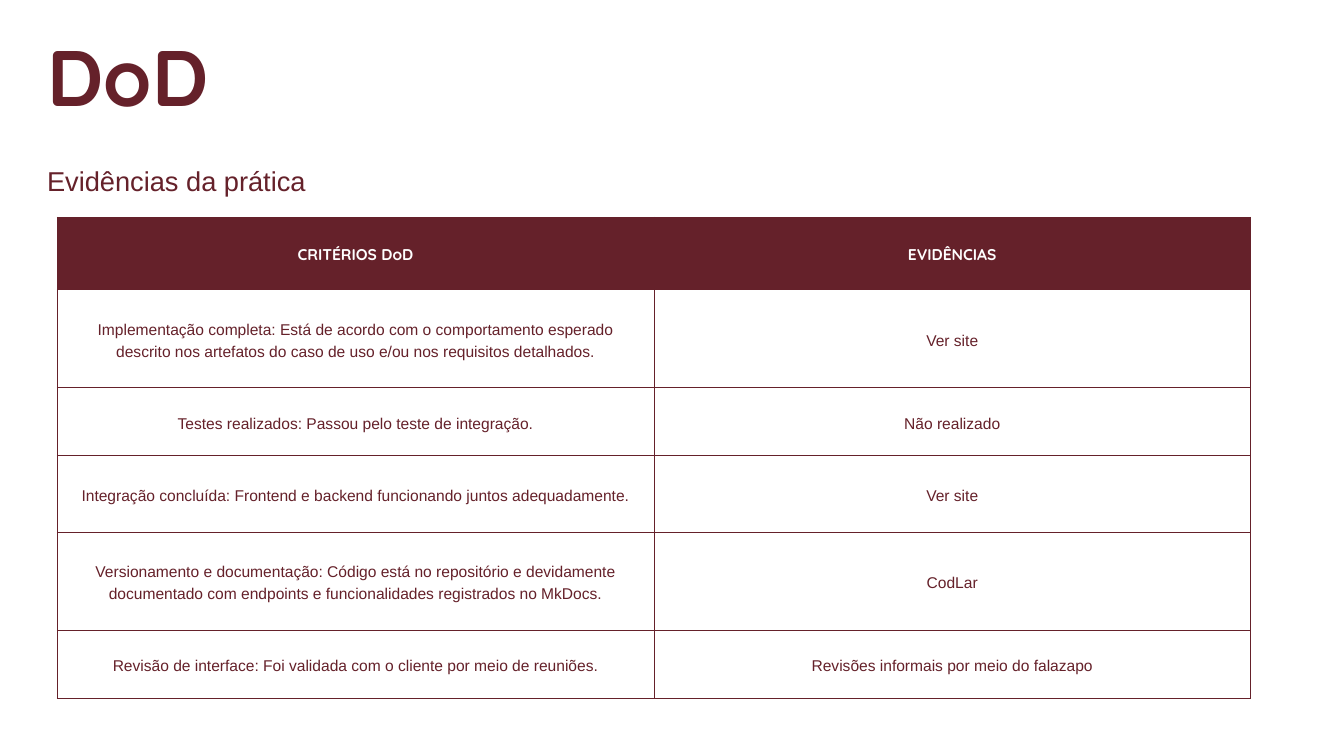
from lxml import etree
from pptx import Presentation
from pptx.dml.color import RGBColor
from pptx.enum.text import MSO_ANCHOR, PP_ALIGN
from pptx.oxml.ns import qn
from pptx.util import Inches, Pt

WINE = RGBColor(0x65, 0x21, 0x2A)
WHITE = RGBColor(0xFF, 0xFF, 0xFF)
CENTER = PP_ALIGN.CENTER
LEFT = PP_ALIGN.LEFT
MIDDLE = MSO_ANCHOR.MIDDLE

TITLE_FONT = {"name": "Quicksand", "size": Pt(84.2), "bold": True}
SUBTITLE_FONT = {"name": "Arial", "size": Pt(29.2), "bold": False}
HEADER_FONT = {"name": "Quicksand", "size": Pt(16.7), "bold": True}
BODY_FONT = {"name": "Arial", "size": Pt(16.7), "bold": False}

HEADINGS = [
    ("DoD", 0.42, 1.4, TITLE_FONT, 101.1),
    ("Evidências da prática", 2.37, 0.52, SUBTITLE_FONT, 40.9),
]
ROWS = [
    (1.08, "CRITÉRIOS DoD", "EVIDÊNCIAS"),
    (1.46, "Implementação completa: Está de acordo com o comportamento esperado "
           "descrito nos artefatos do caso de uso e/ou nos requisitos detalhados.",
     "Ver site"),
    (1.01, "Testes realizados: Passou pelo teste de integração.", "Não realizado"),
    (1.14, "Integração concluída: Frontend e backend funcionando juntos adequadamente.",
     "Ver site"),
    (1.46, "Versionamento e documentação: Código está no repositório e devidamente "
           "documentado com endpoints e funcionalidades registrados no MkDocs.",
     "CodLar"),
    (1.01, "Revisão de interface: Foi validada com o cliente por meio de reuniões.",
     "Revisões informais por meio do falazapo"),
]
COLUMN_WIDTH = 8.88
CELL_MARGIN = 0.21
MARGINS = ("margin_left", "margin_top", "margin_right", "margin_bottom")


def write_text(frame, text, font, color, line_spacing, align):
    para = frame.paragraphs[0]
    para.alignment = align
    para.line_spacing = Pt(line_spacing)
    span = para.add_run()
    span.text = text
    for key, value in font.items():
        setattr(span.font, key, value)
    span.font.color.rgb = color


def add_heading(page, text, top, height, font, line_spacing):
    box = page.shapes.add_textbox(Inches(0.7), Inches(top), Inches(7.75), Inches(height))
    frame = box.text_frame
    frame.word_wrap = True
    for margin in MARGINS:
        setattr(frame, margin, 0)
    write_text(frame, text, font, WINE, line_spacing, LEFT)


def add_borders(cell):
    properties = cell._tc.get_or_add_tcPr()
    for index, side in enumerate(("a:lnL", "a:lnR", "a:lnT", "a:lnB")):
        line = etree.Element(qn(side), w=str(Pt(0.75)))
        fill = etree.SubElement(line, qn("a:solidFill"))
        etree.SubElement(fill, qn("a:srgbClr"), val=str(WINE))
        properties.insert(index, line)


def add_criteria_table(page):
    height = sum(row[0] for row in ROWS)
    table = page.shapes.add_table(
        len(ROWS), 2, Inches(0.85), Inches(3.23), Inches(2 * COLUMN_WIDTH), Inches(height)
    ).table
    table.first_row = False
    table.horz_banding = False
    for column in table.columns:
        column.width = Inches(COLUMN_WIDTH)
    for row_index, (row_height, *texts) in enumerate(ROWS):
        table.rows[row_index].height = Inches(row_height)
        is_header = row_index == 0
        for column_index, text in enumerate(texts):
            cell = table.cell(row_index, column_index)
            cell.vertical_anchor = MIDDLE
            for margin in MARGINS:
                setattr(cell, margin, Inches(CELL_MARGIN))
            if is_header:
                cell.fill.solid()
                cell.fill.fore_color.rgb = WINE
            else:
                cell.fill.background()
            add_borders(cell)
            font, color = (HEADER_FONT, WHITE) if is_header else (BODY_FONT, WINE)
            write_text(cell.text_frame, text, font, color, 23.4, CENTER)


def main():
    deck = Presentation()
    deck.slide_width = Inches(20)
    deck.slide_height = Inches(11.25)
    page = deck.slides.add_slide(deck.slide_layouts[6])
    for heading in HEADINGS:
        add_heading(page, *heading)
    add_criteria_table(page)
    deck.save("out.pptx")


if __name__ == "__main__":
    main()
